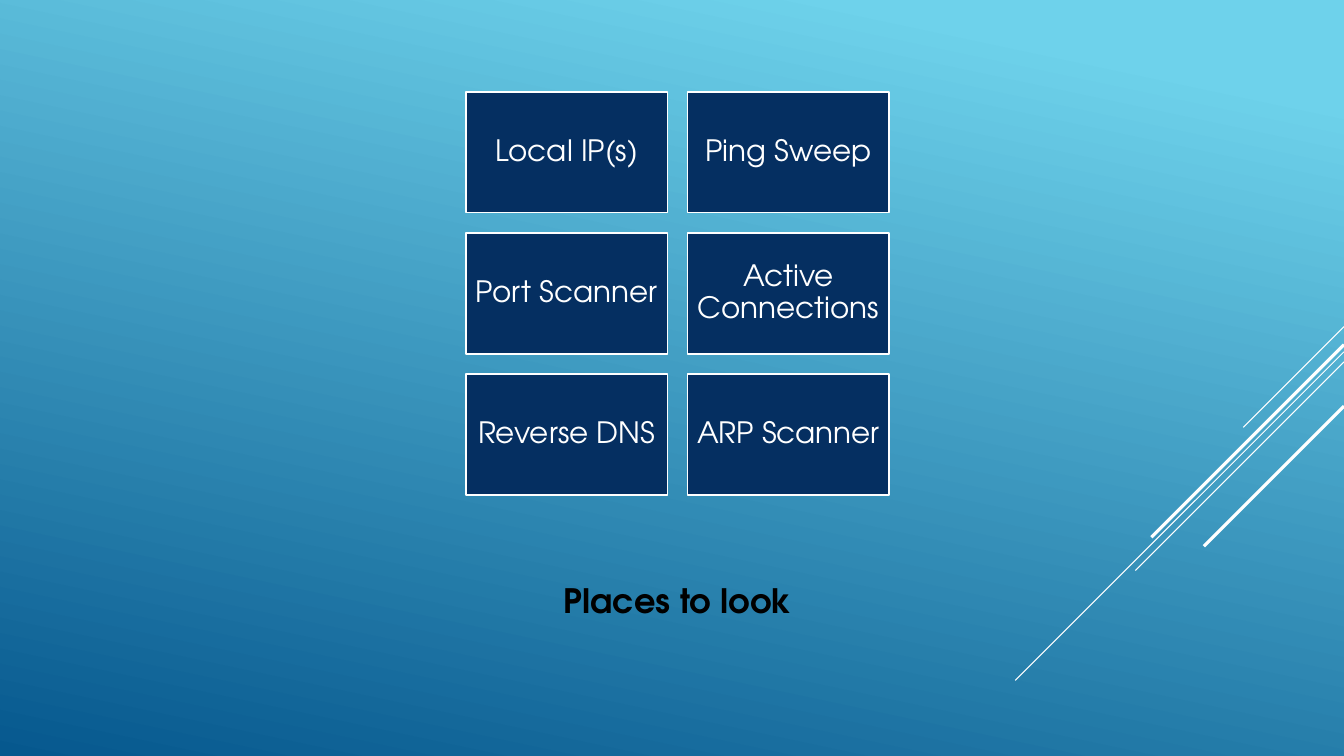
from dataclasses import dataclass

from lxml import etree
from pptx import Presentation
from pptx.dml.color import RGBColor
from pptx.enum.shapes import MSO_CONNECTOR, MSO_SHAPE
from pptx.enum.text import MSO_ANCHOR, MSO_AUTO_SIZE, PP_ALIGN
from pptx.oxml.ns import qn
from pptx.slide import Slide
from pptx.text.text import TextFrame
from pptx.util import Inches, Pt

STRAIGHT = MSO_CONNECTOR.STRAIGHT
RECTANGLE = MSO_SHAPE.RECTANGLE
MIDDLE = MSO_ANCHOR.MIDDLE
CENTER = PP_ALIGN.CENTER
FIT_SHAPE = MSO_AUTO_SIZE.SHAPE_TO_FIT_TEXT
NO_AUTO_SIZE = MSO_AUTO_SIZE.NONE

SLIDE_WIDTH, SLIDE_HEIGHT = 13.33, 7.5
TITLE_ONLY_LAYOUT = 5


@dataclass(frozen=True)
class Theme:
    font: str = "TeX Gyre Adventor"
    sky: RGBColor = RGBColor.from_string("6ED2EB")
    ocean: RGBColor = RGBColor.from_string("06588E")
    navy: RGBColor = RGBColor.from_string("052F61")
    white: RGBColor = RGBColor.from_string("FFFFFF")
    black: RGBColor = RGBColor.from_string("000000")
    title_size: float = 24
    tile_size: float = 21
    tile_outline: float = 1.25


@dataclass(frozen=True)
class Ray:
    top: float
    reach: float
    weight: float


@dataclass(frozen=True)
class TileGrid:
    left: float
    top: float
    width: float
    height: float
    gap: float
    columns: int


THEME = Theme()
RAYS = [
    Ray(3.24, 1.0, 0.75),
    Ray(3.49, 3.26, 0.75),
    Ray(3.59, 2.07, 0.75),
    Ray(3.42, 1.91, 2.25),
    Ray(4.03, 1.39, 2.25),
]
GRID = TileGrid(left=4.62, top=0.91, width=2, height=1.2, gap=0.2, columns=2)
PLACES = [
    "Local IP(s)",
    "Ping Sweep",
    "Port Scanner",
    "Active Connections",
    "Reverse DNS",
    "ARP Scanner",
]


def write_text(frame: TextFrame, text: str, *, size: float, color: RGBColor,
               bold: bool = False, line_spacing: float = 1.0) -> None:
    frame.word_wrap = True
    frame.vertical_anchor = MIDDLE
    frame.text = text
    paragraph = frame.paragraphs[0]
    paragraph.alignment = CENTER
    paragraph.line_spacing = line_spacing
    font = paragraph.runs[0].font
    font.name = THEME.font
    font.size = Pt(size)
    font.bold = bold
    font.color.rgb = color


def paint_background(slide: Slide) -> None:
    fill = slide.background.fill
    fill.gradient()
    fill.gradient_angle = 360 - 102
    stops = [(0.1, THEME.sky), (1.0, THEME.ocean)]
    for stop, (position, color) in zip(fill.gradient_stops, stops):
        stop.position = position
        stop.color.rgb = color


def draw_ray(slide: Slide, ray: Ray) -> None:
    connector = slide.shapes.add_connector(
        STRAIGHT, Inches(SLIDE_WIDTH), Inches(ray.top),
        Inches(SLIDE_WIDTH - ray.reach), Inches(ray.top + ray.reach))
    connector.line.color.rgb = THEME.white
    connector.line.width = Pt(ray.weight)
    etree.SubElement(connector._element.spPr, qn("a:effectLst"))


def draw_tile(slide: Slide, grid: TileGrid, index: int, label: str) -> None:
    row, column = divmod(index, grid.columns)
    shape = slide.shapes.add_shape(
        RECTANGLE,
        Inches(grid.left + column * (grid.width + grid.gap)),
        Inches(grid.top + row * (grid.height + grid.gap)),
        Inches(grid.width), Inches(grid.height))
    shape.shadow.inherit = False
    shape.fill.solid()
    shape.fill.fore_color.rgb = THEME.navy
    shape.line.color.rgb = THEME.white
    shape.line.width = Pt(THEME.tile_outline)
    frame = shape.text_frame
    frame.auto_size = NO_AUTO_SIZE
    frame.margin_left = frame.margin_right = Inches(0.09)
    frame.margin_top = frame.margin_bottom = Inches(0.09)
    write_text(frame, label, size=THEME.tile_size, color=THEME.white,
               line_spacing=0.9)


def place_title(slide: Slide, text: str) -> None:
    title = slide.shapes.title
    title.left, title.top = Inches(5.22), Inches(5.7)
    title.width, title.height = Inches(3), Inches(0.5)
    title.text_frame.auto_size = FIT_SHAPE
    write_text(title.text_frame, text, size=THEME.title_size,
               color=THEME.black, bold=True)


def main() -> None:
    presentation = Presentation()
    presentation.slide_width = Inches(SLIDE_WIDTH)
    presentation.slide_height = Inches(SLIDE_HEIGHT)
    layout = presentation.slide_layouts[TITLE_ONLY_LAYOUT]
    slide = presentation.slides.add_slide(layout)
    paint_background(slide)
    for ray in RAYS:
        draw_ray(slide, ray)
    for index, label in enumerate(PLACES):
        draw_tile(slide, GRID, index, label)
    place_title(slide, "Places to look")
    presentation.save("out.pptx")


if __name__ == "__main__":
    main()
